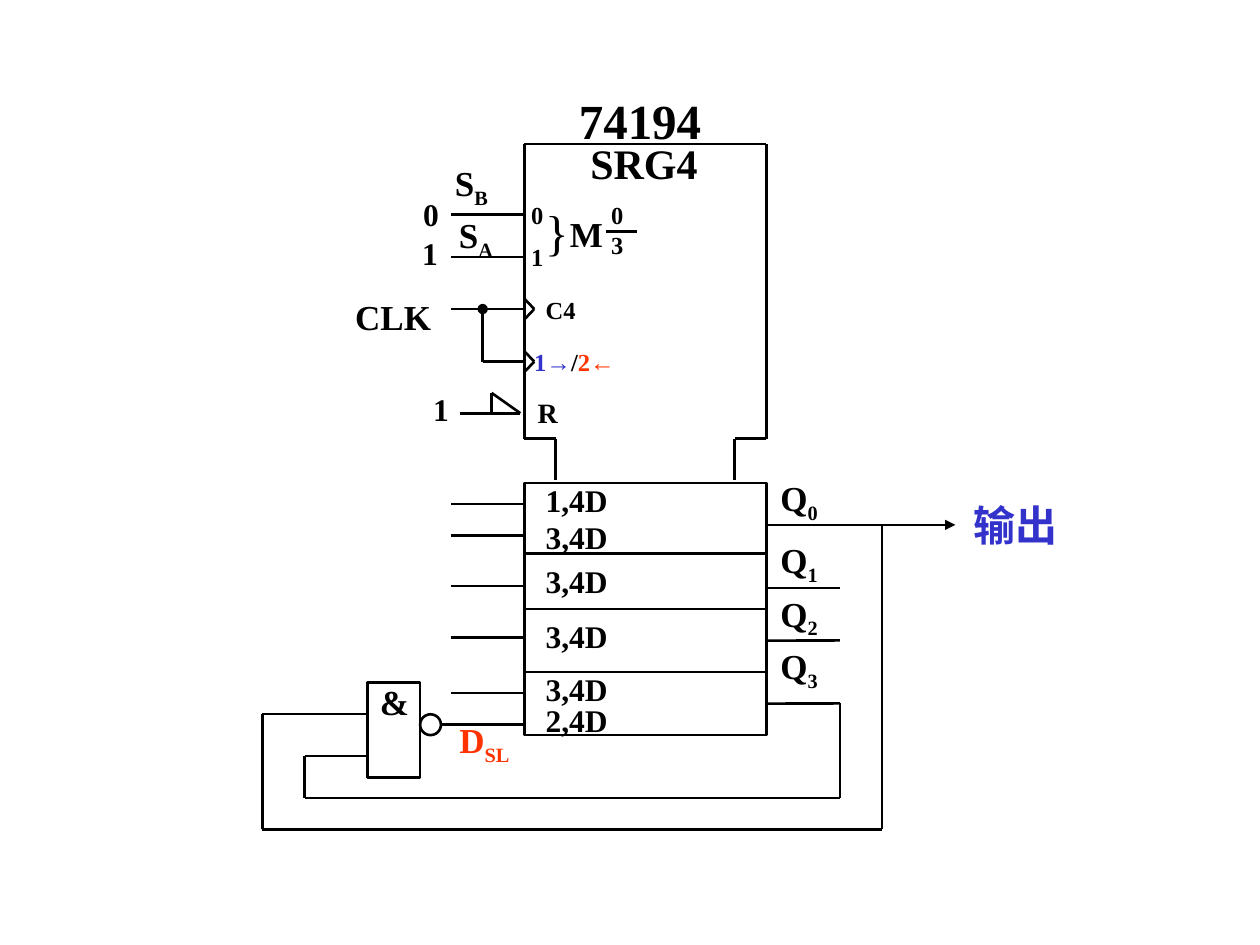
from dataclasses import dataclass
from itertools import pairwise

from lxml import etree
from pptx import Presentation
from pptx.dml.color import RGBColor
from pptx.enum.shapes import MSO_CONNECTOR, MSO_SHAPE
from pptx.enum.text import MSO_AUTO_SIZE
from pptx.oxml.ns import qn
from pptx.util import Cm, Pt

STRAIGHT = MSO_CONNECTOR.STRAIGHT
RECTANGLE, OVAL = MSO_SHAPE.RECTANGLE, MSO_SHAPE.OVAL
GROW = MSO_AUTO_SIZE.SHAPE_TO_FIT_TEXT
RIGHT_SIDE = 3


@dataclass(frozen=True)
class Theme:
    font: str = "Times New Roman"
    black: RGBColor = RGBColor(0, 0, 0)
    red: RGBColor = RGBColor(0xFF, 0x33, 0x00)
    blue: RGBColor = RGBColor(0x33, 0x33, 0xCC)
    line: float = 1.5
    title: int = 28
    heading: int = 24
    signal: int = 20
    value: int = 18
    reset: int = 16
    pin: int = 14


THEME = Theme()
BOX_HEIGHT = {28: 1.45, 24: 1.27, 20: 1.12, 18: 1.02, 16: 0.94, 14: 0.86}

CHIP_LEFT, CHIP_RIGHT = 10.57, 15.45
STUB_LEFT, STUB_RIGHT = 9.1, 16.93
CHIP_TOP, CHIP_SHOULDER, CHIP_NECK = 2.9, 8.84, 9.68
CELL_EDGES = (9.74, 11.16, 12.28, 13.55, 14.82)
CLOCK_Y, SHIFT_Y, RESET_Y = 6.23, 7.29, 8.33
Q0_Y, Q1_Y, Q2_Y, Q3_Y = 10.58, 11.85, 12.91, 14.18
GATE_LEFT, BUBBLE_LEFT, SERIAL_Y = 7.41, 8.47, 14.61


def style_line(line):
    line.color.rgb = THEME.black
    line.width = Pt(THEME.line)


def outline(page, kind, left, top, width, height):
    shape = page.shapes.add_shape(kind, Cm(left), Cm(top), Cm(width), Cm(height))
    shape.shadow.inherit = False
    shape.fill.background()
    style_line(shape.line)
    return shape


def wire(page, *points, head=None, tail=None):
    """Draw straight segments through the points and return the first one."""
    segments = []
    for (x1, y1), (x2, y2) in pairwise(points):
        segment = page.shapes.add_connector(STRAIGHT, Cm(x1), Cm(y1), Cm(x2), Cm(y2))
        style_line(segment.line)
        properties = segment._element.spPr
        etree.SubElement(properties, qn("a:effectLst"))
        segments.append(segment)
    for segment, tag, kind in ((segments[0], "a:headEnd", head),
                               (segments[-1], "a:tailEnd", tail)):
        if kind:
            stroke = segment._element.spPr.find(qn("a:ln"))
            etree.SubElement(stroke, qn(tag)).set("type", kind)
    return segments[0]


def label(page, left, top, width, text, size, color=THEME.black, sub="", bold=True):
    """Write text, one paragraph a line, with an optional subscript at its end."""
    lines = text.split("\n")
    height = BOX_HEIGHT[size] + 0.1 * bool(sub) + 0.59 * (len(lines) - 1)
    box = page.shapes.add_textbox(Cm(left), Cm(top), Cm(width), Cm(height))
    frame = box.text_frame
    frame.word_wrap = False
    frame.auto_size = GROW
    for index, line in enumerate(lines):
        para = frame.add_paragraph() if index else frame.paragraphs[0]
        para.font.name = THEME.font
        para.font.size = Pt(size)
        para.font.bold = bold
        para.font.color.rgb = color
        para.add_run().text = line
    if sub:
        span = para.add_run()
        span.text = sub
        span.font._element.set("baseline", "-25000")
    return para


def draw_register(page):
    wire(page, (11.2, CHIP_NECK), (11.2, CHIP_SHOULDER), (CHIP_LEFT, CHIP_SHOULDER),
         (CHIP_LEFT, CHIP_TOP), (CHIP_RIGHT, CHIP_TOP), (CHIP_RIGHT, CHIP_SHOULDER),
         (14.81, CHIP_SHOULDER), (14.81, CHIP_NECK))
    label(page, 11.42, 1.7, 2.97, "74194", THEME.title)
    label(page, 11.65, 2.64, 2.67, "SRG4", THEME.heading)
    cells = [outline(page, RECTANGLE, CHIP_LEFT, top, CHIP_RIGHT - CHIP_LEFT, bottom - top)
             for top, bottom in pairwise(CELL_EDGES)]
    for text, top in (("1,4D", 9.58), ("3,4D", 10.31), ("3,4D", 11.2),
                      ("3,4D", 12.32), ("3,4D", 13.39), ("2,4D", 14.01)):
        label(page, 10.75, top, 1.85, text, THEME.value)
    return cells


def draw_inputs(page):
    for y in (4.32, 5.18, CLOCK_Y, 10.16, 10.8, 11.81, 12.85, 13.97):
        wire(page, (STUB_LEFT, y), (CHIP_LEFT, y))
    wire(page, (9.73, CLOCK_Y), (9.73, SHIFT_Y), (CHIP_LEFT, SHIFT_Y), head="oval")
    for y in (CLOCK_Y, SHIFT_Y):
        wire(page, (CHIP_LEFT, y - 0.21), (10.77, y), (CHIP_LEFT, y + 0.21))
    wire(page, (9.27, RESET_Y), (10.49, RESET_Y))
    wire(page, (9.91, RESET_Y), (9.91, 7.92), (10.49, RESET_Y))

    label(page, 8.92, 3.13, 1.25, "S", THEME.signal, sub="B")
    label(page, 9, 4.18, 1.25, "S", THEME.signal, sub="A")
    label(page, 6.91, 5.83, 2.15, "CLK", THEME.signal)
    for text, left, top in (("0", 8.28, 3.81), ("1", 8.26, 4.6), ("1", 8.48, 7.73)):
        label(page, left, top, 0.85, text, THEME.value)


def draw_pin_names(page):
    label(page, 10.46, 3.91, 0.76, "0", THEME.pin)
    label(page, 10.46, 4.75, 0.76, "1", THEME.pin)
    label(page, 10.74, 3.94, 0.97, "}", THEME.title, bold=False)
    label(page, 11.24, 4.16, 1.2, "M", THEME.signal)
    label(page, 12.07, 3.91, 0.76, "0\n3", THEME.pin)
    wire(page, (12.22, 4.67), (12.85, 4.67))
    label(page, 10.75, 5.82, 1.2, "C4", THEME.pin)
    shift = label(page, 10.52, 6.87, 2.2, "1→", THEME.pin, THEME.blue)
    for text, color in (("/", THEME.black), ("2←", THEME.red)):
        span = shift.add_run()
        span.text = text
        span.font.color.rgb = color
    label(page, 10.59, 7.85, 0.95, "R", THEME.reset)


def draw_outputs(page, cells):
    wire(page, (CHIP_RIGHT, Q0_Y), (19.26, Q0_Y), tail="triangle")
    wire(page, (CHIP_RIGHT, Q1_Y), (STUB_RIGHT, Q1_Y))
    for y, cell in ((Q2_Y, cells[2]), (Q3_Y, cells[3])):
        wire(page, (CHIP_RIGHT, y), (STUB_RIGHT, y)).begin_connect(cell, RIGHT_SIDE)
    for index, top in enumerate((9.48, 10.74, 11.81, 12.87)):
        label(page, 15.48, top, 1.35, "Q", THEME.signal, sub=str(index))
    label(page, 19.38, 9.95, 2.3, "输出", THEME.heading, THEME.blue)


def draw_feedback(page):
    outline(page, RECTANGLE, GATE_LEFT, 13.76, BUBBLE_LEFT - GATE_LEFT, 1.91)
    label(page, GATE_LEFT, 13.6, 1.12, "&", THEME.signal)
    outline(page, OVAL, BUBBLE_LEFT, SERIAL_Y - 0.21, 0.42, 0.42)
    wire(page, (BUBBLE_LEFT + 0.42, SERIAL_Y), (CHIP_LEFT, SERIAL_Y))
    label(page, 9.01, 14.36, 1.6, "D", THEME.signal, THEME.red, sub="SL")
    for right, start, bottom, left, end in ((STUB_RIGHT, Q3_Y, 16.09, 6.14, 15.24),
                                            (17.78, Q0_Y, 16.72, 5.29, 14.39)):
        wire(page, (right, start), (right, bottom), (left, bottom), (left, end),
             (GATE_LEFT, end))


def main():
    deck = Presentation()
    deck.slide_width, deck.slide_height = Cm(25.4), Cm(19.05)
    page = deck.slides.add_slide(deck.slide_layouts[6])
    cells = draw_register(page)
    draw_inputs(page)
    draw_pin_names(page)
    draw_outputs(page, cells)
    draw_feedback(page)
    deck.save("out.pptx")


if __name__ == "__main__":
    main()
